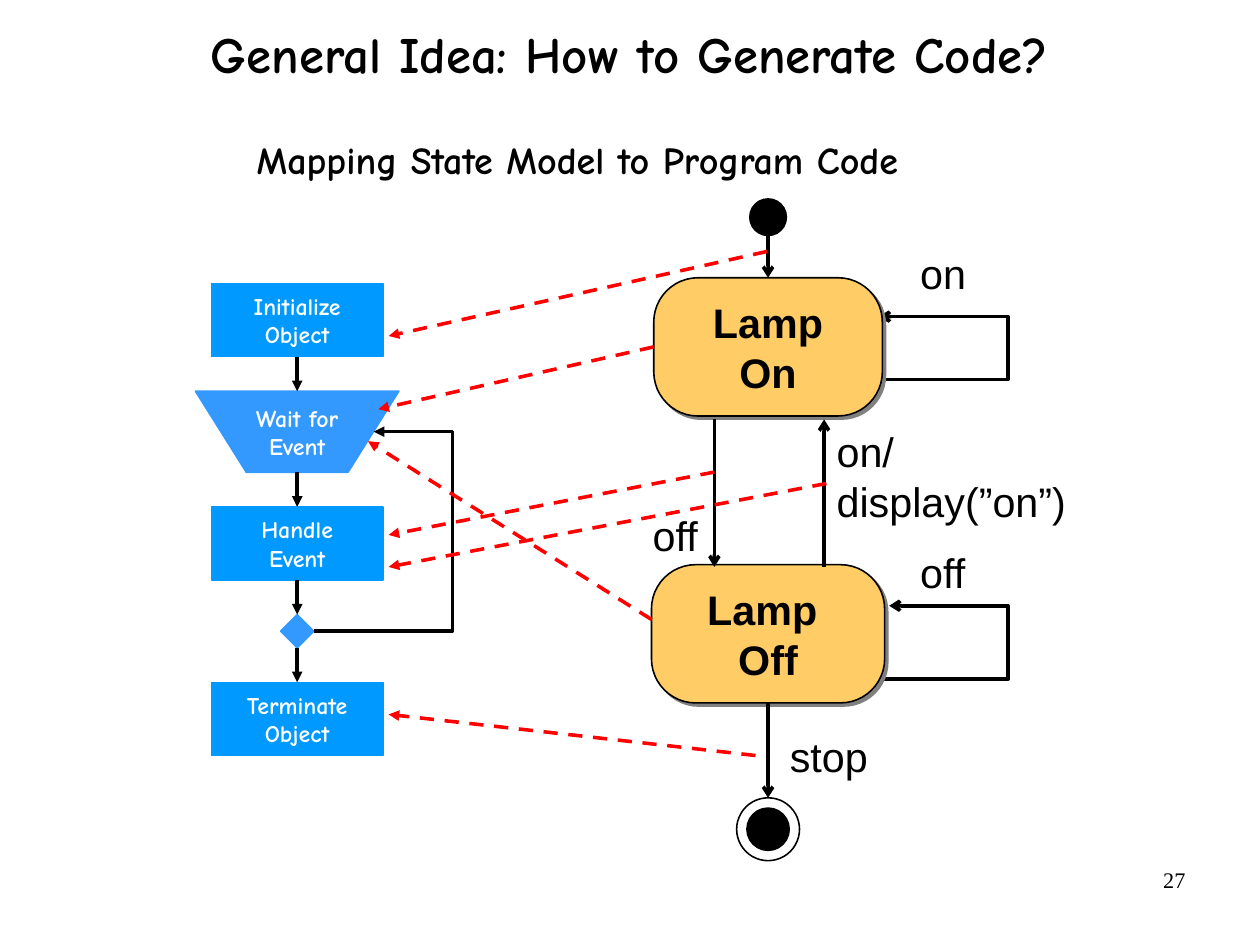
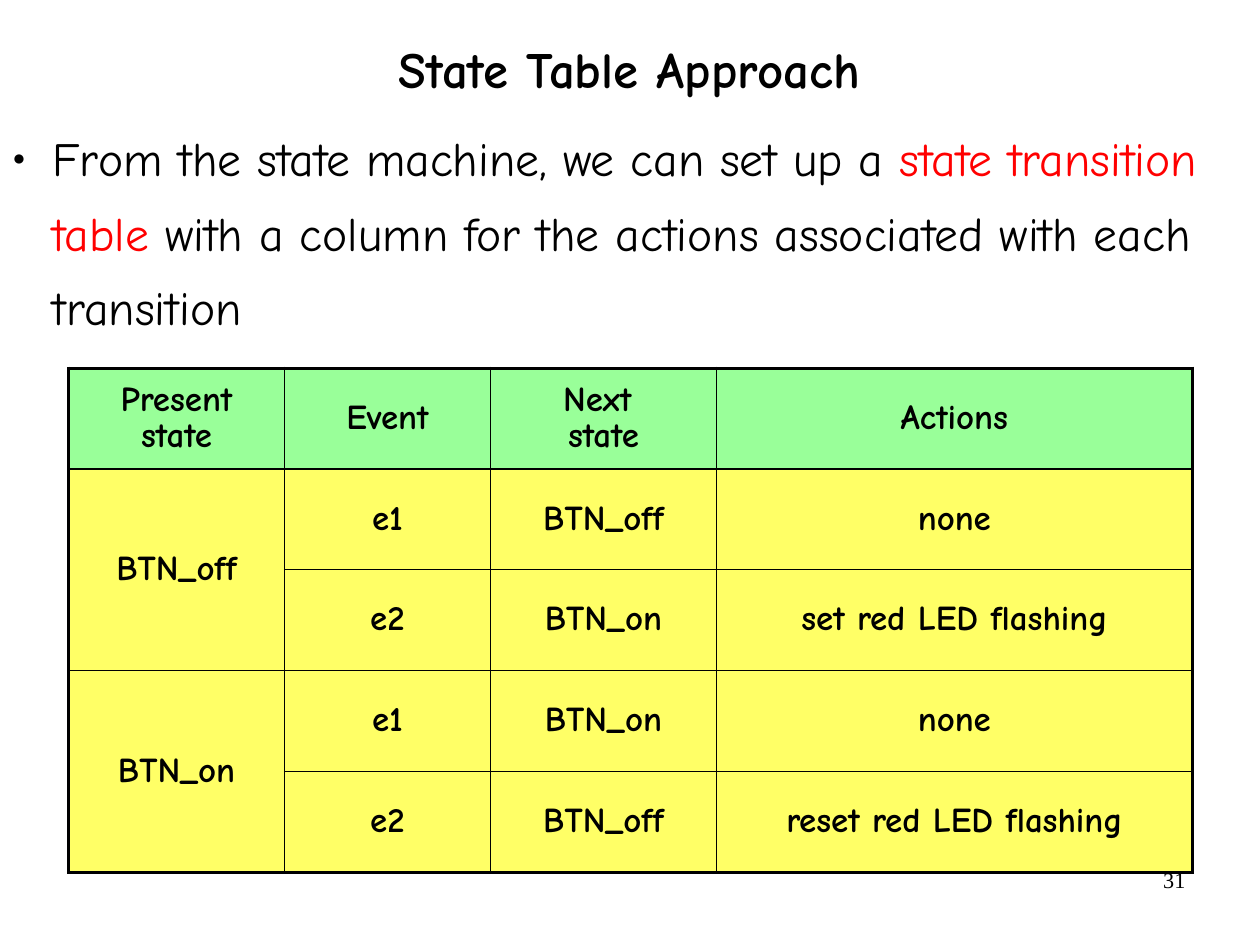
from lxml import etree
from pptx import Presentation
from pptx.dml.color import RGBColor
from pptx.enum.dml import MSO_LINE
from pptx.enum.shapes import MSO_CONNECTOR, MSO_SHAPE
from pptx.enum.text import MSO_ANCHOR, MSO_AUTO_SIZE, PP_ALIGN
from pptx.oxml.ns import qn
from pptx.util import Cm, Emu, Inches, Pt

COLORS = {"ink": "000000", "paper": "FFFFFF", "step": "0099FF", "choice": "3399FF",
          "lamp": "FFCC66", "shade": "808080", "accent": "FF0000",
          "header": "99FF99", "row": "FFFF66"}
COMIC, ARIAL, TIMES = "Comic Neue", "Arial", "Times New Roman"
CELL = Inches(0.1)
TOP, LEFT_SIDE, BOTTOM = 0, 1, 2
LEFT, CENTER, RIGHT = PP_ALIGN.LEFT, PP_ALIGN.CENTER, PP_ALIGN.RIGHT
HIGH, MIDDLE = MSO_ANCHOR.TOP, MSO_ANCHOR.MIDDLE
RECTANGLE, DIAMOND = MSO_SHAPE.FLOWCHART_PROCESS, MSO_SHAPE.DIAMOND
ROUNDED, OVAL = MSO_SHAPE.ROUNDED_RECTANGLE, MSO_SHAPE.OVAL
STRAIGHT, ELBOW = MSO_CONNECTOR.STRAIGHT, MSO_CONNECTOR.ELBOW
DASH, NO_FIT = MSO_LINE.DASH, MSO_AUTO_SIZE.NONE


def cells(*lengths):
    """Turn counts of grid cells into slide lengths."""
    return [Emu(round(length * CELL)) for length in lengths]


def color(name):
    """Look up a colour by name."""
    return RGBColor.from_string(COLORS[name])


def add_xml(parent, tag, **attributes):
    """Append a drawing element to a parent element."""
    return etree.SubElement(parent, qn(tag), attributes)


def style_text(para, size, font=COMIC, ink="ink", bold=False, align=LEFT):
    """Set the font and alignment of a paragraph."""
    para.alignment = align
    para.font.size, para.font.name, para.font.bold = Pt(size), font, bold
    para.font.color.rgb = color(ink)


def set_frame(frame, margins=(0.11, 0.06), anchor=MIDDLE, wrap=True):
    """Set the insets, anchor and wrapping of a text frame."""
    frame.margin_left = frame.margin_right = Inches(margins[0])
    frame.margin_top = frame.margin_bottom = Inches(margins[1])
    frame.vertical_anchor, frame.word_wrap = anchor, wrap
    frame.auto_size = NO_FIT


def write(shape, text, size, margins=(0.11, 0.06), anchor=MIDDLE, wrap=False, **style):
    """Put one styled paragraph into a shape."""
    set_frame(shape.text_frame, margins, anchor, wrap)
    para = shape.text_frame.paragraphs[0]
    para.text = text
    style_text(para, size, **style)
    return para


def paint(shape, fill, line, width=1):
    """Give a shape a plain fill and outline without a shadow."""
    if fill:
        shape.fill.solid()
        shape.fill.fore_color.rgb = color(fill)
    else:
        shape.fill.background()
    shape.line.color.rgb, shape.line.width = color(line), Pt(width)
    shape.shadow.inherit = False
    return shape


def add_block(page, kind, box, fill, line):
    """Add a painted preset shape."""
    return paint(page.shapes.add_shape(kind, *cells(*box)), fill, line)


def add_outline(page, points, fill=None, line="ink", width=2.25):
    """Add a polygon, closed when it is filled."""
    corners = [cells(*point) for point in points]
    builder = page.shapes.build_freeform(*corners[0])
    builder.add_line_segments(corners[1:], close=bool(fill))
    return paint(builder.convert_to_shape(), fill, line, width)


def add_head(shape, head):
    """Put an arrowhead at the end of a line."""
    add_xml(shape._element.spPr.get_or_add_ln(), "a:tailEnd", type=head)


def add_arrow(page, start, end, head="triangle", ink="ink", dash=None, kind=STRAIGHT):
    """Join two spots, each a grid point or a shape with a side number."""
    loose = [isinstance(spot[0], (int, float)) for spot in (start, end)]
    points = [spot if free else (0, 0) for spot, free in zip((start, end), loose)]
    arrow = page.shapes.add_connector(kind, *cells(*points[0], *points[1]))
    if not loose[0]:
        arrow.begin_connect(*start)
    if not loose[1]:
        arrow.end_connect(*end)
    arrow.line.color.rgb, arrow.line.width = color(ink), Pt(2.25)
    if dash:
        arrow.line.dash_style = dash
    add_head(arrow, head)
    add_xml(arrow._element.spPr, "a:effectLst")
    return arrow


def add_heading(shape, text, size=32):
    """Write a line in the heading style."""
    para = write(shape, text, size, margins=(0, 0), wrap=True, bold=True, align=CENTER)
    para.line_spacing = 0.88


def move(shape, box):
    """Move a shape into a grid box."""
    shape.left, shape.top, shape.width, shape.height = cells(*box)


def start_page(deck, layout, title, box, number):
    """Add a slide with its title and page number."""
    page = deck.slides.add_slide(deck.slide_layouts[layout])
    move(page.shapes.title, box)
    add_heading(page.shapes.title, title)
    corner = page.shapes.add_textbox(*cells(79, 75.3, 25.7, 5.7))
    write(corner, number, 14, margins=(0.1, 0.05), anchor=HIGH, wrap=True,
          font=TIMES, align=RIGHT)
    return page


def draw_flow(page, box):
    """Draw the program flow as an evenly spaced column of steps."""
    left, top, width, height = box
    axis = left + width / 2
    steps = [("Initialize\vObject", 15, 6.4), ("Wait for\vEvent", width, 7.1),
             ("Handle\vEvent", 15, 6.4), (None, 2.9, 2.9),
             ("Terminate\vObject", 15, 6.4)]
    gap = (height - sum(step[2] for step in steps)) / (len(steps) - 1)
    previous = None
    for text, wide, tall in steps:
        side, entry = axis - wide / 2, (axis, top)
        leave = (axis, top + tall)
        if wide == width:
            shape = add_outline(page, [(side, top), (side + wide / 4, top + tall),
                                       (side + wide * 3 / 4, top + tall),
                                       (side + wide, top)], "choice", "choice", 1)
            loop_end = (axis + 6.7, top + tall / 2)
        else:
            kind, fill = (RECTANGLE, "step") if text else (DIAMOND, "choice")
            shape = add_block(page, kind, (side, top, wide, tall), fill, fill)
            entry, leave = (shape, TOP), (shape, BOTTOM)
        if text:
            write(shape, text, 15, ink="paper", bold=True, align=CENTER)
        else:
            loop_start = (side + wide, top + tall / 2)
        if previous:
            add_arrow(page, previous, entry)
        previous = leave
        top += tall + gap
    loop = add_arrow(page, loop_start, loop_end, kind=ELBOW)
    guides = loop._element.spPr.find(qn("a:prstGeom")).get_or_add_avLst()
    add_xml(guides, "a:gd", name="adj1", fmla="val 231100")


def draw_lamp(page, text, axis, top, width):
    """Draw one rounded lamp state with a hard shadow."""
    lamp = add_block(page, ROUNDED, (axis - width / 2, top, width, 12.1), "lamp", "ink")
    lamp.adjustments[0] = 0.32
    effects = lamp._element.spPr.find(qn("a:effectLst"))
    shadow = add_xml(effects, "a:outerShdw", dist=str(Pt(2.8)), dir="2700000",
                     algn="ctr", rotWithShape="0")
    add_xml(shadow, "a:srgbClr", val=COLORS["shade"])
    write(lamp, text, 26, wrap=True, font=ARIAL, bold=True, align=CENTER)
    return lamp


def draw_states(page, box):
    """Draw the lamp state model and return its first state."""
    left, top, width, height = box
    axis = left + 11.2
    for tip, low, high in [(20.9, 15.8, 10.3), (21.8, 42, 35.6)]:
        loop = add_outline(page, [(left + 20, top + low), (left + 32.2, top + low),
                                  (left + 32.2, top + high), (left + tip, top + high)])
        add_head(loop, "arrow")
    lamp_on = draw_lamp(page, "Lamp On", axis, top + 6.9, 20)
    lamp_off = draw_lamp(page, "Lamp \vOff", axis, top + 32, 20.4)
    high, low = top + 19.3, top + 32.2
    for start, end in [((left + 6.5, high), (left + 6.5, low)),
                       ((left + 16.1, low), (left + 16.1, high)),
                       ((axis, top + 1.7), (lamp_on, TOP)),
                       ((lamp_off, BOTTOM), (axis, top + height - 5.5))]:
        add_arrow(page, start, end, head="arrow")
    end_center = top + height - 2.75
    for center, size, fill in [(top + 1.6, 3.2, "ink"), (end_center, 5.5, "paper"),
                               (end_center, 3.7, "ink")]:
        add_block(page, OVAL, (axis - size / 2, center - size / 2, size, size), fill, "ink")
    for text, x, y, wide, wrap in [("on", 23.4, 3.7, 6.3, False),
                                   ("off", 23.4, 29.9, 6.3, False),
                                   ("off", 0, 26.6, 6.3, False),
                                   ("on/display(”on”)", 16.1, 19.3, 25, True),
                                   ("stop", 12, 46, 9.2, False)]:
        label = page.shapes.add_textbox(*cells(left + x, top + y, wide, 5.5))
        write(label, text, 26, anchor=HIGH, wrap=wrap, font=ARIAL)
    return lamp_on


def build_mapping_page(deck):
    """Build the slide that maps the state model to program code."""
    page = start_page(deck, 5, "General Idea: How to Generate Code?",
                      (1.3, 1.1, 107.6, 7.8), "27")
    add_heading(page.shapes.add_textbox(*cells(-3.3, 10.3, 107.6, 7.8)),
                "Mapping State Model to Program Code", 24)
    draw_flow(page, (17.1, 24.8, 17.8, 41.3))
    lamp_on = draw_states(page, (56, 17.4, 43.4, 57.9))
    for start, end in [((lamp_on, LEFT_SIDE), (33.1, 35.8)), ((57, 54.2), (32.2, 38.6)),
                       ((62.5, 41.3), (34, 46.8)), ((72.3, 42.3), (34, 49.6)),
                       ((66.1, 66.1), (34, 62.5)), ((67.1, 22), (34, 29.4))]:
        add_arrow(page, start, end, ink="accent", dash=DASH)


def fill_body(body, box):
    """Write the bulleted sentence into the body placeholder."""
    move(body, box)
    set_frame(body.text_frame, (0, 0), HIGH)
    para = body.text_frame.paragraphs[0]
    for text, ink in [("From the state machine, we can set up a ", "ink"),
                      ("state transition table", "accent"),
                      (" with a column for the actions associated with each transition",
                       "ink")]:
        span = para.add_run()
        span.text = text
        span.font.color.rgb = color(ink)
    props = para._p.get_or_add_pPr()
    props.set("marL", str(Inches(0.46)))
    props.set("indent", str(Inches(-0.35)))
    add_xml(add_xml(props, "a:buClr"), "a:srgbClr", val=COLORS["ink"])
    add_xml(props, "a:buSzPct", val="45000")
    add_xml(props, "a:buChar", char="●")
    para.line_spacing, para.space_before = 1.3, Pt(0)
    style_text(para, 30)


def add_borders(cell, widths):
    """Draw the left, right, top and bottom borders of a cell."""
    props = cell._tc.get_or_add_tcPr()
    for place, (side, width) in enumerate(zip("LRTB", widths)):
        line = add_xml(props, f"a:ln{side}", w=str(Pt(width)))
        add_xml(add_xml(line, "a:solidFill"), "a:srgbClr", val=COLORS["ink"])
        props.insert(place, line)


def draw_table(page, box, columns, rows):
    """Draw the state table with a heavy frame and paired first cells."""
    table = page.shapes.add_table(len(rows), len(columns), *cells(*box)).table
    table.first_row = table.horz_banding = False
    for column, width in zip(table.columns, cells(*columns)):
        column.width = width
    for first in range(1, len(rows), 2):
        table.cell(first, 0).merge(table.cell(first + 1, 0))
    for r, row in enumerate(rows):
        for c, text in enumerate(row):
            cell = table.cell(r, c)
            cell.fill.solid()
            cell.fill.fore_color.rgb = color("row" if r else "header")
            cell.margin_left = cell.margin_right = Inches(0.11)
            cell.margin_top = cell.margin_bottom = Inches(0.06)
            cell.vertical_anchor = MIDDLE
            last = r + (cell.span_height if cell.is_merge_origin else 1)
            edges = (c == 0, c == len(columns) - 1, r == 0, last == len(rows))
            add_borders(cell, [2.25 if edge else 1 for edge in edges])
            para = cell.text_frame.paragraphs[0]
            para.text, para.line_spacing = text, 0.9
            style_text(para, 22, bold=True, align=CENTER)


def build_table_page(deck):
    """Build the slide with the state transition table."""
    page = start_page(deck, 1, "State Table Approach", (8.1, 1.5, 94, 9.7), "31")
    fill_body(page.placeholders[1], (0, 9.8, 110.2, 64.2))
    draw_table(page, (6, 32.2, 98.3, 44.1), (18.9, 18, 19.8, 41.6), [
        ("Present state", "Event", "Next \vstate", "Actions"),
        ("BTN_off", "e1", "BTN_off", "none"),
        ("", "e2", "BTN_on", "set red LED flashing"),
        ("BTN_on", "e1", "BTN_on", "none"),
        ("", "e2", "BTN_off", "reset red LED flashing")])


def main():
    """Build and save the deck."""
    deck = Presentation()
    deck.slide_width = Cm(28)
    deck.slide_height = Cm(21)
    build_mapping_page(deck)
    build_table_page(deck)
    deck.save("out.pptx")


if __name__ == "__main__":
    main()
